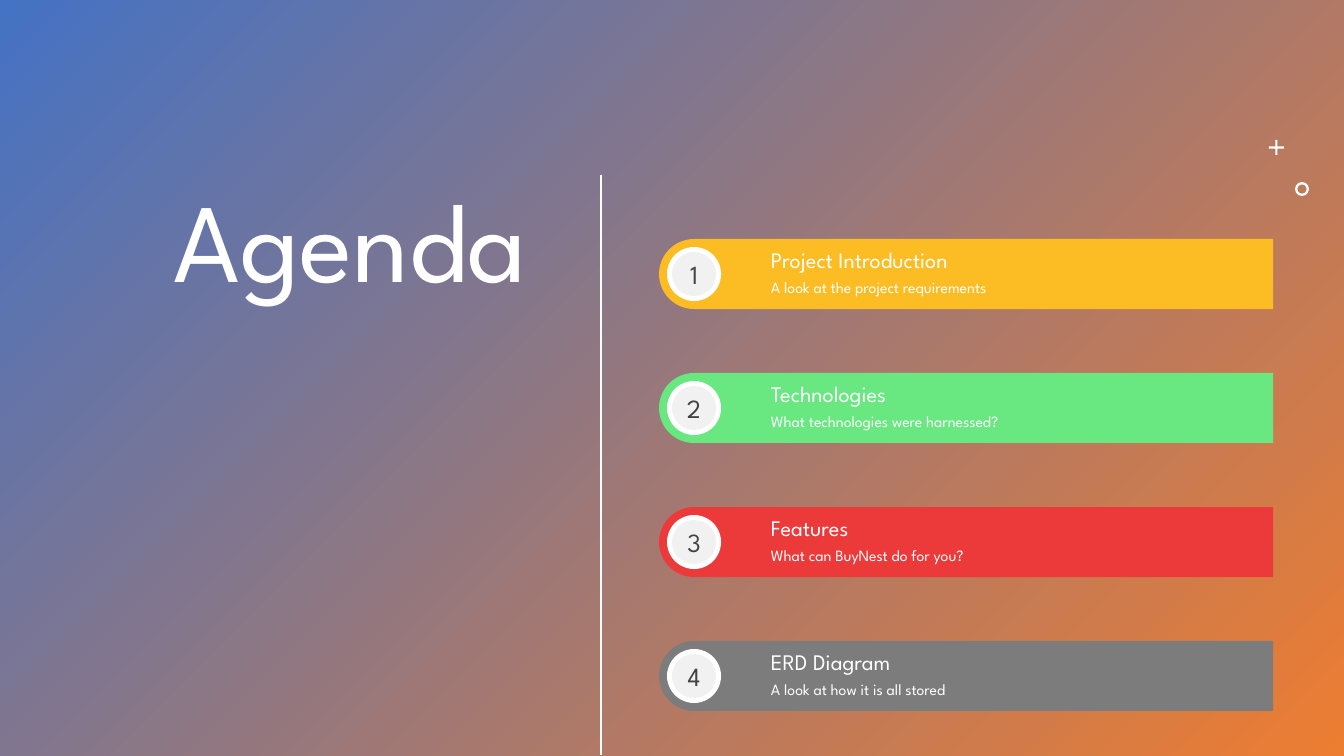
import pptx
import pptx.util
import pptx.dml.color
import pptx.enum.shapes
import pptx.enum.text
import pptx.oxml

PX = 12192000 // 1344
THEME = {
    "font": "League Spartan",
    "white": "FFFFFF", "ink": "434343", "disc": "F1F1F1",
    "gradient": ("4472C4", "ED7D31"),
    "title": 80, "number": 18.7, "heading": 15.9, "detail": 11.2,
}
AGENDA = [
    ("Project Introduction", "A look at the project requirements", "FCBD24"),
    ("Technologies", "What technologies were harnessed?", "69E781"),
    ("Features", "What can BuyNest do for you?", "EC3A3B"),
    ("ERD Diagram", "A look at how it is all stored", "7C7C7C"),
]
KIND = pptx.enum.shapes.MSO_SHAPE
ALIGN = pptx.enum.text.PP_ALIGN
ANCHOR = pptx.enum.text.MSO_ANCHOR
rgb = pptx.dml.color.RGBColor.from_string

prs = pptx.Presentation()
prs.slide_width, prs.slide_height = 1344 * PX, 756 * PX
slide = prs.slides.add_slide(prs.slide_layouts[5])


def draw(kind, box, color, adjustments=()):
    part = slide.shapes.add_shape(kind, *(n * PX for n in box))
    part.shadow.inherit = False
    part.line.fill.background()
    part.fill.solid()
    part.fill.fore_color.rgb = rgb(color)
    for index, value in enumerate(adjustments):
        part.adjustments[index] = value
    return part


def write(part, text, size, color, align, inset, paragraph_format):
    frame = part.text_frame
    frame.text = text
    frame_format = {
        "word_wrap": True,
        "auto_size": pptx.enum.text.MSO_AUTO_SIZE.NONE,
        "vertical_anchor": ANCHOR.MIDDLE,
        "margin_left": inset * PX, "margin_right": inset * PX,
        "margin_top": inset * PX, "margin_bottom": inset * PX,
    }
    for name, value in frame_format.items():
        setattr(frame, name, value)
    paragraph = frame.paragraphs[0]
    for name, value in {"alignment": align, **paragraph_format}.items():
        setattr(paragraph, name, value)
    font = paragraph.runs[0].font
    font.name, font.size = THEME["font"], pptx.util.Pt(size)
    font.color.rgb = rgb(color)


# Title
title = slide.shapes.title
title.left, title.top, title.width, title.height = (n * PX for n in (50, 176, 487, 400))
write(title, "Agenda", THEME["title"], THEME["white"], ALIGN.RIGHT, 10,
      {"line_spacing": 0.9})
title.text_frame.vertical_anchor = ANCHOR.TOP

# Gradient backdrop, placed behind the title
backdrop = draw(KIND.RECTANGLE, (0, 0, 1344, 756), THEME["white"])
backdrop.fill.gradient()
backdrop.fill.gradient_angle = 315
for stop, color, position in zip(backdrop.fill.gradient_stops, THEME["gradient"], (0, 1)):
    stop.color.rgb = rgb(color)
    stop.position = position
title.element.addprevious(backdrop.element)

# Vertical divider
divider = slide.shapes.add_connector(
    pptx.enum.shapes.MSO_CONNECTOR.STRAIGHT, 601 * PX, 175 * PX, 601 * PX, 755 * PX)
divider.line.color.rgb = rgb(THEME["white"])
divider.line.width = pptx.util.Pt(2)
divider.element.spPr.append(pptx.oxml.parse_xml(
    '<a:effectLst xmlns:a="http://schemas.openxmlformats.org/drawingml/2006/main"/>'))

# Plus and ring ornaments
draw(KIND.CROSS, (1269, 140, 15, 15), THEME["white"], [0.43])
draw(KIND.DONUT, (1295, 182, 14, 14), THEME["white"], [0.17])

# Agenda rows
BAR_LEFT, BAR_TOP, BAR_WIDTH, BAR_HEIGHT, PITCH = 659, 239, 614, 70, 134
turn = (BAR_WIDTH - BAR_HEIGHT) // 2
for row, (heading, detail, color) in enumerate(AGENDA):
    top = BAR_TOP + row * PITCH

    # Bar: an upright shape with a round top, turned to the left
    bar = draw(KIND.ROUND_2_SAME_RECTANGLE,
               (BAR_LEFT + turn, top - turn, BAR_HEIGHT, BAR_WIDTH), color, [0.5, 0])
    bar.rotation = 270

    # Numbered badge
    draw(KIND.OVAL, (BAR_LEFT + 8, top + 8, 54, 54), THEME["white"])
    badge = draw(KIND.OVAL, (BAR_LEFT + 13, top + 13, 44, 44), THEME["disc"])
    after = {"space_after": pptx.util.Pt(6)}
    write(badge, str(row + 1), THEME["number"], THEME["ink"], ALIGN.CENTER, 0, after)

    # Heading and detail
    for text, size, offset in ((heading, THEME["heading"], 2), (detail, THEME["detail"], 29)):
        label = slide.shapes.add_textbox(758 * PX, (top + offset) * PX, 332 * PX, 38 * PX)
        write(label, text, size, THEME["white"], ALIGN.LEFT, 13, after)

prs.save("out.pptx")
